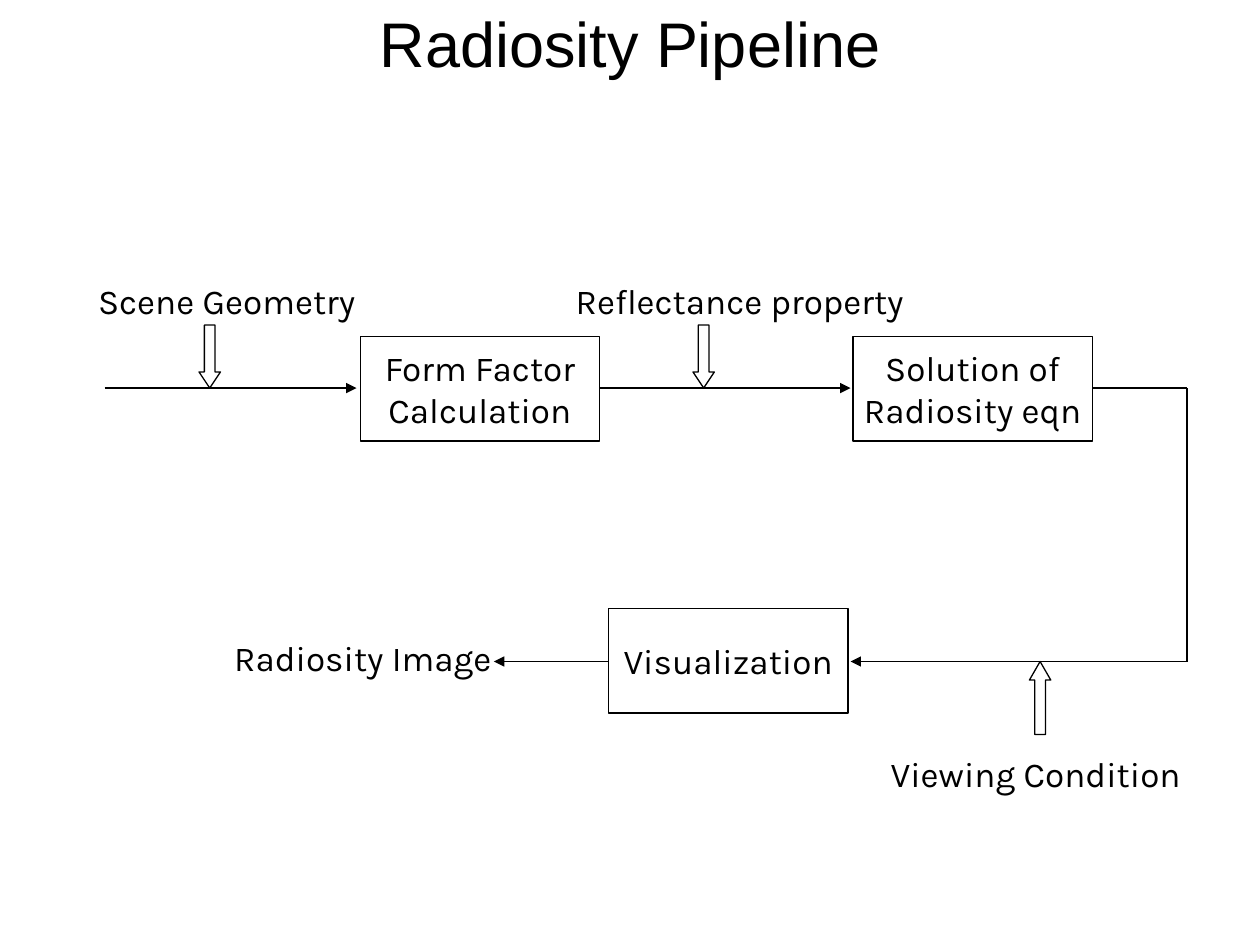
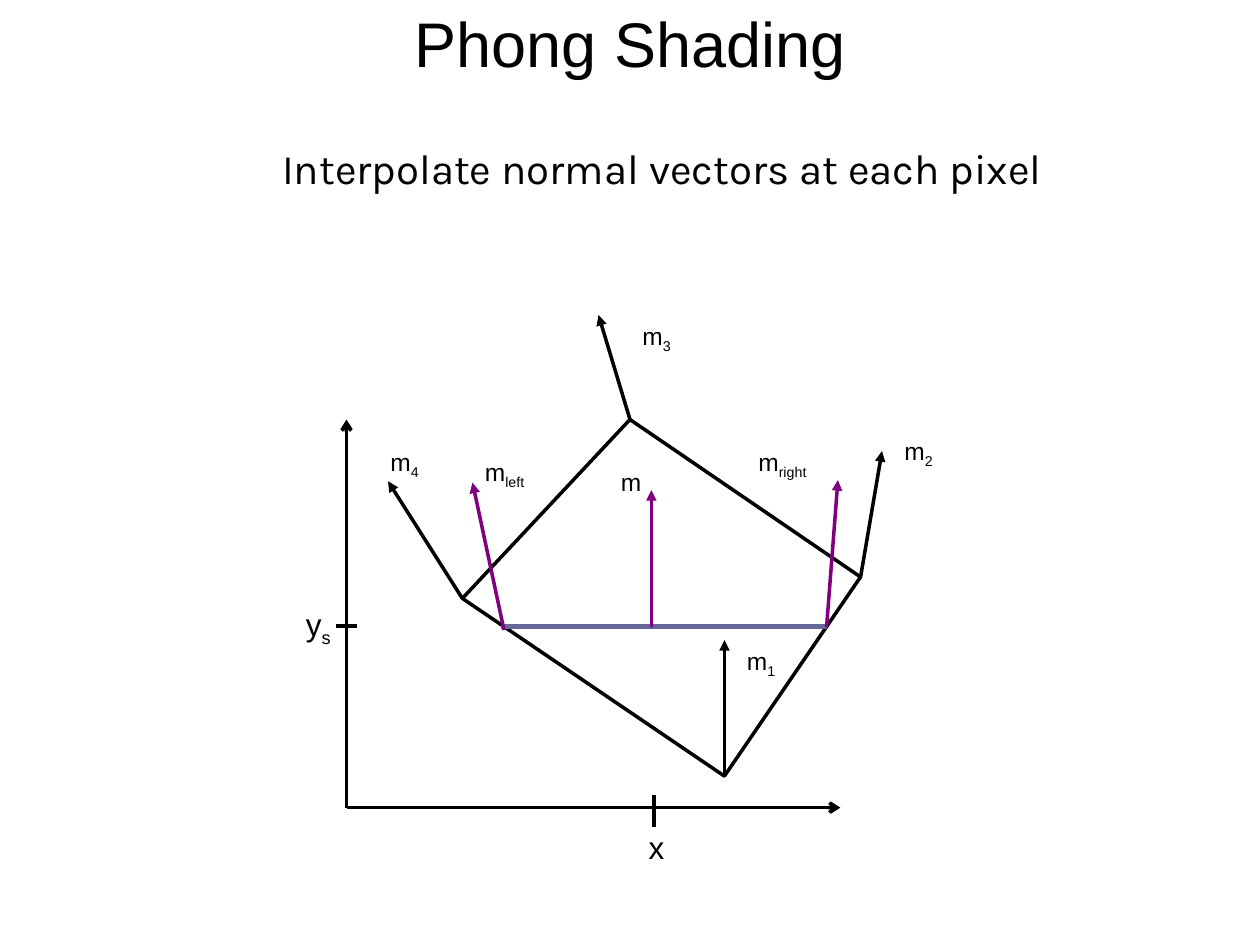
import dataclasses

import lxml.etree
import pptx
import pptx.dml.color
import pptx.enum.shapes
import pptx.enum.text
import pptx.oxml.ns
import pptx.util

Inches = pptx.util.Inches
Kind = pptx.enum.shapes.MSO_SHAPE
Align = pptx.enum.text.PP_ALIGN
Anchor = pptx.enum.text.MSO_ANCHOR
Fit = pptx.enum.text.MSO_AUTO_SIZE


@dataclasses.dataclass(frozen=True)
class Theme:
    ink: str = "000000"
    paper: str = "FFFFFF"
    span: str = "666699"
    blend: str = "800080"
    head: str = "Arial"
    body: str = "Karla"
    title: int = 36
    lead: int = 24
    flow: int = 20
    axis: int = 18
    mark: int = 14
    thin: float = 0.75
    thick: float = 2
    heavy: float = 3


def rgb(code):
    return pptx.dml.color.RGBColor.from_string(code)


def add(parent, tag, **attrs):
    return lxml.etree.SubElement(parent, pptx.oxml.ns.qn(tag), **attrs)


def write(frame, text, *, font, size, color, align=Align.LEFT,
          anchor=Anchor.TOP, wrap=True, fit=Fit.NONE, sub=""):
    """Fill a frame, one paragraph a line, with an optional subscript at the end."""
    frame.word_wrap = wrap
    frame.auto_size = fit
    frame.vertical_anchor = anchor
    for i, line in enumerate(text.split("\n")):
        para = frame.add_paragraph() if i else frame.paragraphs[0]
        para.alignment = align
        for part in filter(None, (line, sub)):
            run = para.add_run()
            run.text = part
            run.font.name = font
            run.font.size = pptx.util.Pt(size)
            run.font.color.rgb = rgb(color)
    if sub:
        run.font._element.set("baseline", "-25000")


class Board:
    def __init__(self, theme):
        self.theme = theme
        self.deck = pptx.Presentation()
        self.deck.slide_width = Inches(10)
        self.deck.slide_height = Inches(7.5)

    def start(self, title):
        self.slide = self.deck.slides.add_slide(self.deck.slide_layouts[5])
        self.pen = self.slide.shapes
        back = self.slide.background.fill
        back.solid()
        back.fore_color.rgb = rgb(self.theme.paper)
        box = self.pen.title
        box.left, box.top = Inches(0), Inches(-0.08)
        box.width, box.height = Inches(10), Inches(0.83)
        write(box.text_frame, title, font=self.theme.head, size=self.theme.title,
              color=self.theme.ink, align=Align.CENTER, anchor=Anchor.MIDDLE)

    def text(self, words, at, **look):
        box = self.pen.add_textbox(*map(Inches, at))
        look = dict(font=self.theme.head, color=self.theme.ink,
                    fit=Fit.SHAPE_TO_FIT_TEXT) | look
        write(box.text_frame, words, **look)

    def label(self, words, x, y, width):
        self.text(words, (x, y, width, 0.44), font=self.theme.body,
                  size=self.theme.flow, wrap=False)

    def mark(self, sub, x, y, width=0.5):
        self.text("m", (x, y, width, 0.37), size=self.theme.mark, sub=sub)

    def paint(self, shape, width):
        shape.shadow.inherit = False
        shape.fill.solid()
        shape.fill.fore_color.rgb = rgb(self.theme.paper)
        shape.line.color.rgb = rgb(self.theme.ink)
        shape.line.width = pptx.util.Pt(width)

    def shape(self, kind, at):
        item = self.pen.add_shape(kind, *map(Inches, at))
        self.paint(item, self.theme.thin)
        return item

    def stage(self, words, x, y):
        box = self.shape(Kind.RECTANGLE, (x, y, 1.9, 0.83))
        write(box.text_frame, words, font=self.theme.body, size=self.theme.flow,
              color=self.theme.ink, align=Align.CENTER, anchor=Anchor.MIDDLE,
              wrap=False)

    def block(self, kind, x, y, height):
        """Draw a hollow arrow whose head is a quarter of the base height long."""
        item = self.shape(kind, (x, y, 0.17, height))
        item.adjustments[0] = 0.5
        item.adjustments[1] = 1.5 * height

    def line(self, start, end, width=None, color=None, tip=None):
        wire = self.pen.add_connector(pptx.enum.shapes.MSO_CONNECTOR.STRAIGHT,
                                      *map(Inches, (*start, *end)))
        wire.line.color.rgb = rgb(color or self.theme.ink)
        wire.line.width = pptx.util.Pt(width or self.theme.thick)
        if tip:
            add(wire.line._ln, "a:tailEnd", type=tip)
        add(wire._element.spPr, "a:effectLst")

    def outline(self, points):
        first, *rest = [tuple(map(Inches, point)) for point in points]
        form = self.pen.build_freeform(*first)
        form.add_line_segments(rest, close=True)
        self.paint(form.convert_to_shape(), self.theme.thick)

    def blend(self, start, end, sub, x, y):
        """Group an interpolated normal with its label."""
        self.pen = self.slide.shapes.add_group_shape().shapes
        self.line(start, end, color=self.theme.blend, tip="triangle")
        self.mark(sub, x, y, 0.67)
        self.pen = self.slide.shapes


def radiosity(board):
    board.start("Radiosity Pipeline")
    thin = board.theme.thin
    top, low, edge = 3.08, 5.25, 9.42
    inputs = [
        ("Scene Geometry", 0.68, 2.34, 1.58, 0.83, 2.83),
        ("Reflectance property", 4.47, 2.92, 5.5, 4.75, 6.75),
    ]
    for words, x, width, drop, start, end in inputs:
        board.label(words, x, 2.17, width)
        board.block(Kind.DOWN_ARROW, drop, 2.58, 0.5)
        board.line((start, top), (end, top), thin, tip="triangle")
    board.stage("Form Factor\nCalculation", 2.86, 2.67)
    board.stage("Solution of\nRadiosity eqn", 6.77, 2.67)

    board.label("Viewing Condition", 6.97, 5.92, 2.57)
    board.block(Kind.UP_ARROW, 8.17, low, 0.58)
    board.line((edge, low), (6.75, low), thin, tip="triangle")
    board.stage("Visualization", 4.83, 4.83)
    board.line((edge, low), (edge, top), thin)
    board.line((edge, top), (8.67, top), thin)
    board.line((4.83, low), (3.92, low), thin, tip="triangle")
    board.label("Radiosity Image", 1.76, 5, 2.3)


def phong(board):
    board.start("Phong Shading")
    theme = board.theme
    origin, scan = (2.75, 6.41), 4.97
    for end in ((2.75, 3.33), (6.67, 6.41)):
        board.line(origin, end, tip="arrow")

    # Each corner: its point, the tip of its normal, and the label's place.
    corners = {
        "4": ((3.67, 4.75), (3.08, 3.82), (3, 3.5)),
        "3": ((5, 3.33), (4.75, 2.5), (5, 2.5)),
        "2": ((6.83, 4.58), (7, 3.58), (7.08, 3.41)),
        "1": ((5.75, 6.16), (5.75, 5.08), (5.83, 5.08)),
    }
    board.outline([point for point, _, _ in corners.values()])
    for sub, (point, tip, place) in corners.items():
        board.line(point, tip, tip="triangle")
        board.mark(sub, *place)

    board.line((3.98, scan), (6.56, scan), theme.heavy, theme.span)
    board.line((5.19, 6.31), (5.19, 6.56))
    board.line((2.67, scan), (2.83, scan))
    board.text("y", (2.33, 4.75, 0.58, 0.44), size=theme.axis, sub="s")
    board.text("x", (5.05, 6.52, 0.75, 0.4), size=theme.axis)

    board.blend((4, 5), (3.75, 3.83), "left", 3.75, 3.58)
    board.blend((6.56, 4.98), (6.65, 3.81), "right", 5.92, 3.5)
    board.blend((5.17, 4.98), (5.17, 3.89), "", 4.83, 3.66)
    board.text("Interpolate normal vectors at each pixel", (1.42, 1.08, 7.67, 0.5),
               font=theme.body, size=theme.lead, align=Align.CENTER)


def main():
    board = Board(Theme())
    radiosity(board)
    phong(board)
    board.deck.save("out.pptx")


if __name__ == "__main__":
    main()
